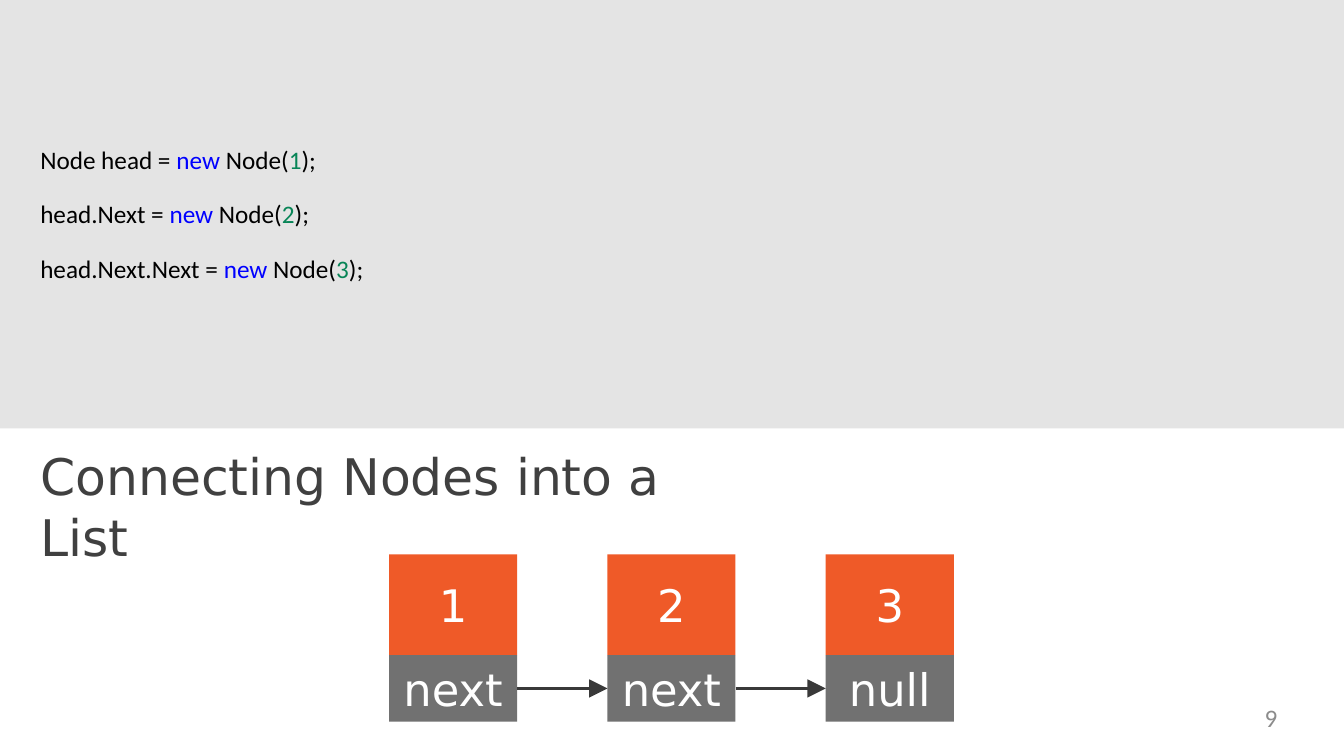
from lxml.etree import SubElement
from pptx import Presentation
from pptx.dml.color import RGBColor
from pptx.enum.shapes import MSO_CONNECTOR, MSO_SHAPE
from pptx.enum.text import MSO_ANCHOR, PP_ALIGN
from pptx.oxml.ns import qn
from pptx.util import Inches, Pt

COLORS = {
    "panel": "E4E4E4", "value": "EF5A28", "pointer": "717171", "arrow": "393939",
    "title": "404040", "code": "000000", "keyword": "0000FF", "number": "088557",
    "page": "8C8C8C", "white": "FFFFFF",
}
FORMATS = {
    "code": {"name": "Calibri", "size": Pt(18)},
    "title": {"name": "DejaVu Sans", "size": Pt(36)},
    "node": {"name": "DejaVu Sans", "size": Pt(32)},
    "page": {"name": "Calibri", "size": Pt(18)},
}


def write(shape, lines, text_format, align=PP_ALIGN.LEFT, anchor=MSO_ANCHOR.TOP, spacing=1.0):
    """Fill a shape with lines, each a list of (text, color) runs; spacing applies after line one."""
    frame = shape.text_frame
    frame_format = {"word_wrap": True, "vertical_anchor": anchor, "margin_left": 0,
                    "margin_right": 0, "margin_top": 0, "margin_bottom": 0}
    for attribute, value in frame_format.items():
        setattr(frame, attribute, value)
    for index, line in enumerate(lines):
        paragraph = frame.add_paragraph() if index else frame.paragraphs[0]
        paragraph.alignment = align
        paragraph.line_spacing = spacing if index else 1.0
        for text, color in line:
            run = paragraph.add_run()
            run.text = text
            for attribute, value in FORMATS[text_format].items():
                setattr(run.font, attribute, value)
            run.font.color.rgb = RGBColor.from_string(COLORS[color])


def add_rectangle(left, top, width, height, color):
    shape = slide.shapes.add_shape(
        MSO_SHAPE.RECTANGLE, Inches(left), Inches(top), Inches(width), Inches(height))
    shape.shadow.inherit = False
    shape.fill.solid()
    shape.fill.fore_color.rgb = RGBColor.from_string(COLORS[color])
    shape.line.fill.background()
    return shape


presentation = Presentation()
presentation.slide_width = Inches(13.33)
presentation.slide_height = Inches(7.5)
slide = presentation.slides.add_slide(presentation.slide_layouts[6])

# Code panel
add_rectangle(0, 0, 13.33, 4.25, "panel")
targets = ["Node head", "head.Next", "head.Next.Next"]
code_lines = [
    [(f"{target} = ", "code"), ("new ", "keyword"), ("Node(", "code"),
     (str(number), "number"), (");", "code")]
    for number, target in enumerate(targets, start=1)
]
code_box = slide.shapes.add_textbox(Inches(0.4), Inches(1.43), Inches(4), Inches(1.43))
write(code_box, code_lines, "code", spacing=1.8)

# Title
title_box = slide.shapes.add_textbox(Inches(0.4), Inches(4.42), Inches(6.9), Inches(1.2))
write(title_box, [[("Connecting Nodes into a List", "title")]], "title")

# Linked list
pointers = []
for index, label in enumerate(["next", "next", "null"]):
    left = 3.86 + 2.165 * index
    value = add_rectangle(left, 5.5, 1.27, 1, "value")
    pointer = add_rectangle(left, 6.5, 1.27, 0.66, "pointer")
    for shape, text in [(value, str(index + 1)), (pointer, label)]:
        write(shape, [[(text, "white")]], "node", PP_ALIGN.CENTER, MSO_ANCHOR.MIDDLE)
    pointers.append(pointer)

for source, target in zip(pointers, pointers[1:]):
    arrow = slide.shapes.add_connector(MSO_CONNECTOR.STRAIGHT, 0, 0, 0, 0)
    arrow.begin_connect(source, 3)
    arrow.end_connect(target, 1)
    arrow.line.width = Pt(2.6)
    arrow.line.color.rgb = RGBColor.from_string(COLORS["arrow"])
    SubElement(arrow.line._get_or_add_ln(), qn("a:tailEnd"), type="triangle", w="lg", len="lg")
    SubElement(arrow._element.spPr, qn("a:effectLst"))

# Page number
page_box = slide.shapes.add_textbox(Inches(9.6), Inches(6.97), Inches(3.07), Inches(0.38))
write(page_box, [[("9", "page")]], "page", PP_ALIGN.RIGHT)

presentation.save("out.pptx")
